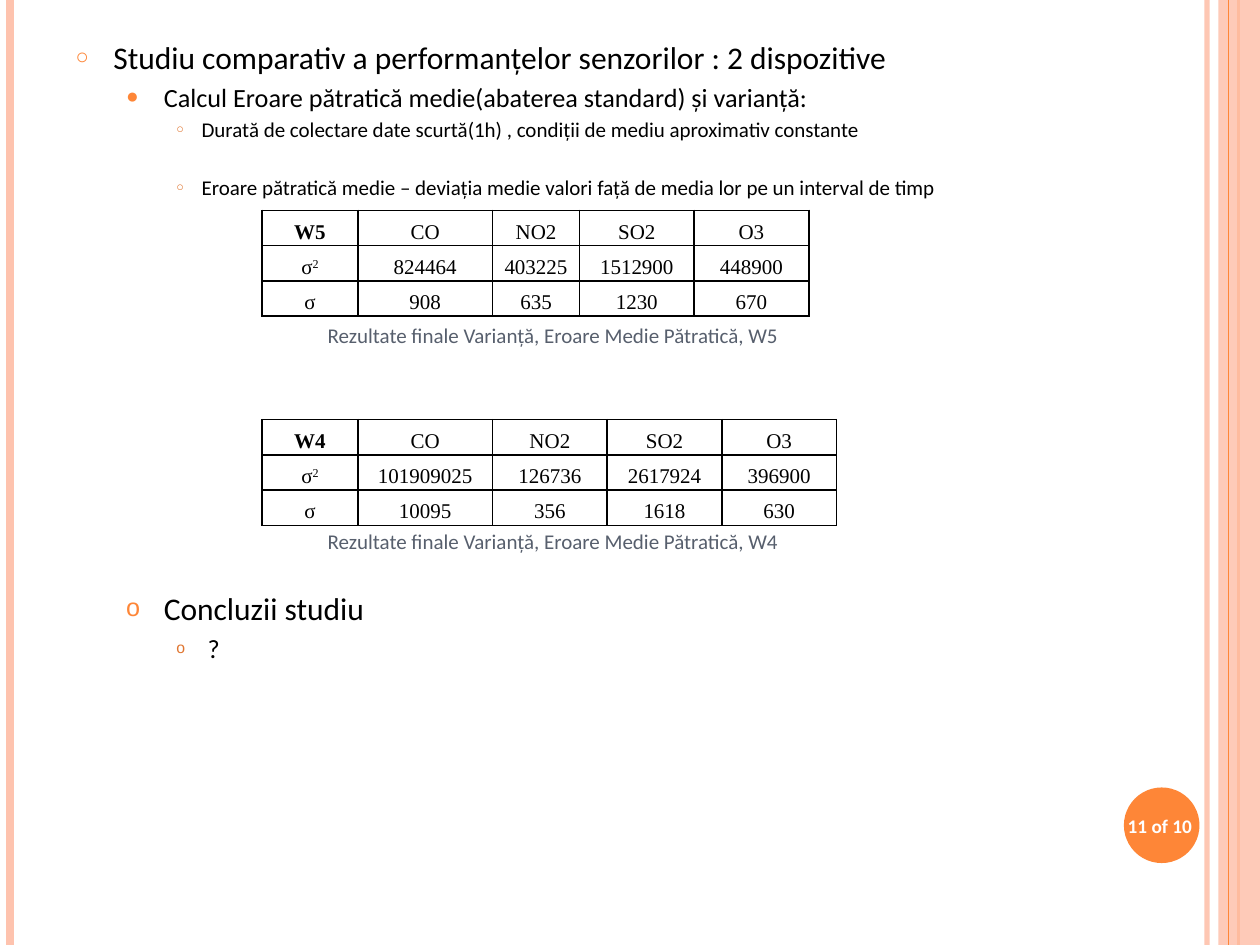
from lxml import etree
from pptx import Presentation
from pptx.dml.color import RGBColor
from pptx.enum import shapes, text
from pptx.oxml import ns
from pptx.util import Inches, Pt

ORANGE, RUST, PEACH = "FE8637", "E07631", "FEC3AE"
BLACK, WHITE, SLATE = "000000", "FFFFFF", "575F6D"


def rgb(value):
    """Return the colour for a hex string."""
    return RGBColor.from_string(value)


def add(parent, tag, **attrs):
    """Append an XML child with the given attributes and return it."""
    return etree.SubElement(parent, ns.qn(tag), {k: str(v) for k, v in attrs.items()})


def set_alpha(fill_owner, percent):
    """Make the solid fills below an element partly transparent."""
    for clr in fill_owner.iter(ns.qn("a:srgbClr")):
        add(clr, "a:alpha", val=percent * 1000)


def style(font, name, size, color, bold=False):
    """Set the common font properties."""
    font.name, font.size, font.bold = name, Pt(size), bold
    font.color.rgb = rgb(color)


def add_rule(s, x, height, color, width, alpha=100):
    """Draw a vertical rule from the top edge."""
    ln = s.shapes.add_connector(
        shapes.MSO_CONNECTOR.STRAIGHT, Inches(x), 0, Inches(x), Inches(height))
    ln.line.color.rgb = rgb(color)
    ln.line.width = Pt(width)
    set_alpha(ln.line._ln, alpha)
    add(ln._element.spPr, "a:effectLst")


def add_plain(s, kind, x, y, w, h, color, alpha=100):
    """Add a filled shape with no outline."""
    sp = s.shapes.add_shape(kind, Inches(x), Inches(y), Inches(w), Inches(h))
    sp.shadow.inherit = False
    sp.fill.solid()
    sp.fill.fore_color.rgb = rgb(color)
    sp.line.fill.background()
    set_alpha(sp._element.spPr, alpha)


def add_frame(s, width, height):
    """Draw the decorative rules and band along both side edges."""
    add_rule(s, width - 0.42, height, PEACH, 3, 93)
    add_rule(s, 0.08, height, PEACH, 4.5)
    add_rule(s, width - 0.17, height, ORANGE, 1.5)
    add_plain(s, shapes.MSO_SHAPE.RECTANGLE, width - 0.33, 0, 0.33, height, PEACH, 87)
    add_rule(s, width - 0.25, height, ORANGE, 0.75)


def add_page_badge(s, x, y, size, label):
    """Draw the round page badge with its label."""
    add_plain(s, shapes.MSO_SHAPE.OVAL, x, y, size, size, ORANGE)
    tb = s.shapes.add_textbox(
        Inches(x - 0.09), Inches(y + 0.02), Inches(size + 0.15), Inches(size - 0.03))
    tf = tb.text_frame
    tf.word_wrap = True
    tf.vertical_anchor = text.MSO_ANCHOR.MIDDLE
    p = tf.paragraphs[0]
    p.text = label
    p.alignment = text.PP_ALIGN.CENTER
    style(p.font, "Calibri", 11, WHITE, True)


def add_outline(s, x, y, w, h, items):
    """Fill the body placeholder with bulleted paragraphs."""
    sp = s.placeholders[1]
    sp.left, sp.top, sp.width, sp.height = (Inches(v) for v in (x, y, w, h))
    tf = sp.text_frame
    tf.auto_size = text.MSO_AUTO_SIZE.NONE
    tf.vertical_anchor = text.MSO_ANCHOR.TOP
    indents = {0: (0.3, -0.3), 1: (0.7, -0.3), 2: (1, -0.2), 6: (2, 0)}
    bullets = {0: (ORANGE, 70), 1: (ORANGE, 80), 2: (RUST, 60)}
    for i, (level, bullet, size, before, words) in enumerate(items):
        p = tf.add_paragraph() if i else tf.paragraphs[0]
        p.text = words
        p.level = level
        p.space_before = Pt(before)
        pPr = p._p.get_or_add_pPr()
        margin, indent = indents[level]
        pPr.set("marL", str(Inches(margin)))
        pPr.set("indent", str(Inches(indent)))
        if bullet:
            color, percent = bullets[level]
            add(add(pPr, "a:buClr"), "a:srgbClr", val=color)
            add(pPr, "a:buSzPct", val=percent * 1000)
            add(pPr, "a:buChar", char=bullet)
        else:
            add(pPr, "a:buNone")
        style(p.font, "Calibri", size, BLACK if bullet else SLATE)


def style_cell(cell, bold):
    """Give a table cell black borders, no fill and centred text."""
    cell.margin_left = cell.margin_right = Inches(0.07)
    cell.margin_top = cell.margin_bottom = 0
    cell.vertical_anchor = text.MSO_ANCHOR.MIDDLE
    tcPr = cell._tc.get_or_add_tcPr()
    for side in "LRTB":
        ln = add(tcPr, f"a:ln{side}", w=Pt(1))
        add(add(ln, "a:solidFill"), "a:srgbClr", val=BLACK)
    cell.fill.background()
    p = cell.text_frame.paragraphs[0]
    p.alignment = text.PP_ALIGN.CENTER
    p.line_spacing = 1.35
    style(p.font, "Times New Roman", 12, BLACK, bold)


def add_results(s, x, y, widths, device, variances, deviations):
    """Add the table of variance and standard deviation of one device."""
    rows = [[device, "CO", "NO2", "SO2", "O3"], ["σ", *variances], ["σ", *deviations]]
    row_height = 0.28
    tbl = s.shapes.add_table(
        len(rows), len(widths), Inches(x), Inches(y),
        Inches(sum(widths)), Inches(row_height * len(rows))).table
    for col, width in zip(tbl.columns, widths):
        col.width = Inches(width)
    for i, row in enumerate(rows):
        tbl.rows[i].height = Inches(row_height)
        for j, value in enumerate(row):
            cell = tbl.cell(i, j)
            cell.text = str(value)
            style_cell(cell, bold=i == j == 0)
    r = tbl.cell(1, 0).text_frame.paragraphs[0].add_run()
    r.text = "2"
    r._r.get_or_add_rPr().set("baseline", "30000")


def main():
    """Build the sensor comparison slide."""
    prs = Presentation()
    prs.slide_width, prs.slide_height = Inches(10), Inches(7.5)
    s = prs.slides.add_slide(prs.slide_layouts[1])
    title = s.shapes.title._element
    title.getparent().remove(title)
    add_frame(s, 10, 7.5)
    add_page_badge(s, 8.92, 6.25, 0.6, "11 of 10")
    caption = "Rezultate finale Varianță, Eroare Medie Pătratică, "
    add_outline(s, 0.5, 0.25, 8.17, 6.83, [
        (0, "○", 18, 6, "Studiu comparativ a performanțelor senzorilor : 2 dispozitive"),
        (1, "●", 15, 3, "Calcul Eroare pătratică medie(abaterea standard) și varianță:"),
        (2, "○", 12, 2.4, "Durată de colectare date scurtă(1h) , condiții de mediu "
                          "aproximativ constante"),
        (2, "○", 12, 19, "Eroare pătratică medie – deviația medie valori față de media "
                         "lor pe un interval de timp"),
        (6, None, 12, 70, caption + "W5"),
        (6, None, 12, 103, caption + "W4"),
        (1, "o", 18, 20.5, "Concluzii studiu"),
        (2, "o", 15, 3, " ?"),
    ])
    add_results(s, 2.08, 1.67, [0.76, 1.07, 0.69, 0.91, 0.91], "W5",
                [824464, 403225, 1512900, 448900], [908, 635, 1230, 670])
    add_results(s, 2.08, 3.33, [0.76, 1.07, 0.91, 0.91, 0.91], "W4",
                [101909025, 126736, 2617924, 396900], [10095, 356, 1618, 630])
    prs.save("out.pptx")


if __name__ == "__main__":
    main()
